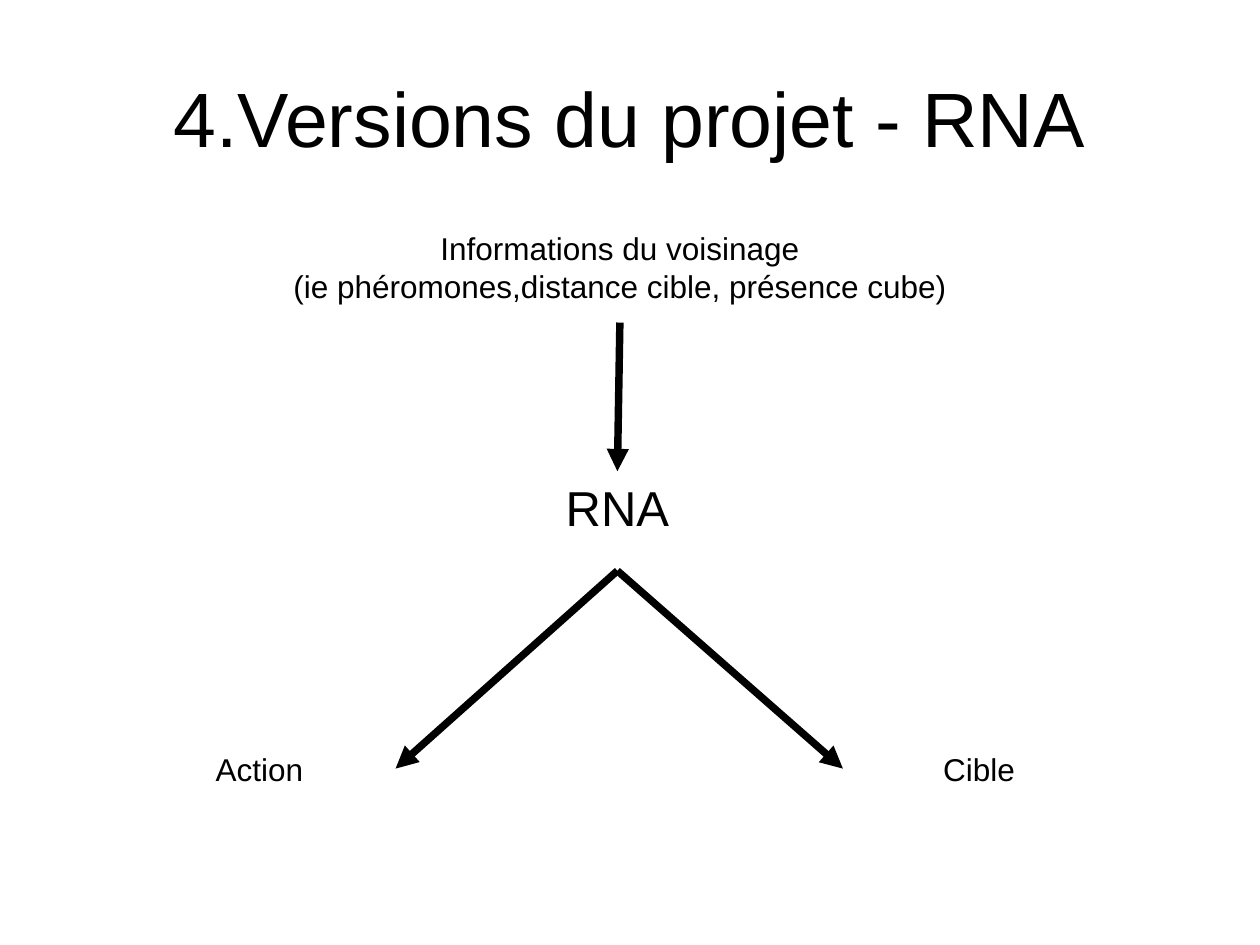
from dataclasses import dataclass

from lxml.etree import SubElement
from pptx import Presentation
from pptx.dml.color import RGBColor
from pptx.enum.shapes import MSO_CONNECTOR as Connector
from pptx.enum.text import MSO_ANCHOR as Anchor, PP_ALIGN as Align
from pptx.oxml.ns import qn
from pptx.slide import Slide
from pptx.text.text import TextFrame
from pptx.util import Inches, Pt

COLUMNS, ROWS = 100, 75
CELL = Inches(0.1)
BLACK = "000000"
Point = tuple[float, float]


@dataclass(frozen=True)
class Label:
    """A block of centred lines, placed in grid columns and rows."""
    lines: tuple[str, ...]
    column: float
    row: float
    width: float
    height: float
    size: int = 18

    def point(self, across: float, down: float) -> Point:
        """Grid position at the given shares of the label's width and height."""
        return self.column + across * self.width, self.row + down * self.height


TITLE = Label(("4.Versions du projet - RNA",), 5, 1.9, 90, 14.7, 44)
NETWORK = Label(("RNA",), 42.1, 37.4, 13.8, 7.9, 28)
INPUTS = Label(("Informations du voisinage",
                "(ie phéromones,distance cible, présence cube)"), 11.8, 17.7, 74.8, 7.9)
ACTION = Label(("Action",), 9.8, 59, 21.6, 4)
TARGET = Label(("Cible",), 66.9, 59, 21.6, 4)

ARROWS = (
    (INPUTS.point(0.5, 1), NETWORK.point(0.5, 0)),
    (NETWORK.point(0.5, 1), ACTION.point(1, 0.5)),
    (NETWORK.point(0.5, 1), TARGET.point(0, 0.5)),
)


def color(value: str) -> RGBColor:
    return RGBColor.from_string(value)


def grid(*cells: float) -> list[int]:
    return [round(cell * CELL) for cell in cells]


def write(frame: TextFrame, label: Label) -> None:
    frame.word_wrap = True
    for index, line in enumerate(label.lines):
        paragraph = frame.add_paragraph() if index else frame.paragraphs[0]
        paragraph.alignment = Align.CENTER
        run = paragraph.add_run()
        run.text = line
        run.font.name = "Arial"
        run.font.size = Pt(label.size)
        run.font.color.rgb = color(BLACK)


def add_title(slide: Slide, label: Label) -> None:
    title = slide.shapes.title
    title.left, title.top, title.width, title.height = grid(
        label.column, label.row, label.width, label.height)
    frame = title.text_frame
    frame.margin_left = frame.margin_right = frame.margin_top = frame.margin_bottom = 0
    frame.vertical_anchor = Anchor.MIDDLE
    write(frame, label)


def add_label(slide: Slide, label: Label) -> None:
    box = slide.shapes.add_textbox(
        *grid(label.column, label.row, label.width, label.height))
    write(box.text_frame, label)


def add_arrow(slide: Slide, start: Point, end: Point) -> None:
    arrow = slide.shapes.add_connector(Connector.STRAIGHT, *grid(*start, *end))
    arrow.line.color.rgb = color(BLACK)
    arrow.line.width = Pt(4.25)
    SubElement(arrow.line._get_or_add_ln(), qn("a:tailEnd"), type="triangle")
    SubElement(arrow._element.spPr, qn("a:effectLst"))


def main() -> None:
    presentation = Presentation()
    presentation.slide_width, presentation.slide_height = grid(COLUMNS, ROWS)
    slide = presentation.slides.add_slide(
        presentation.slide_layouts.get_by_name("Title Only"))
    add_title(slide, TITLE)
    for label in (NETWORK, INPUTS, ACTION, TARGET):
        add_label(slide, label)
    for start, end in ARROWS:
        add_arrow(slide, start, end)
    presentation.save("out.pptx")


if __name__ == "__main__":
    main()
